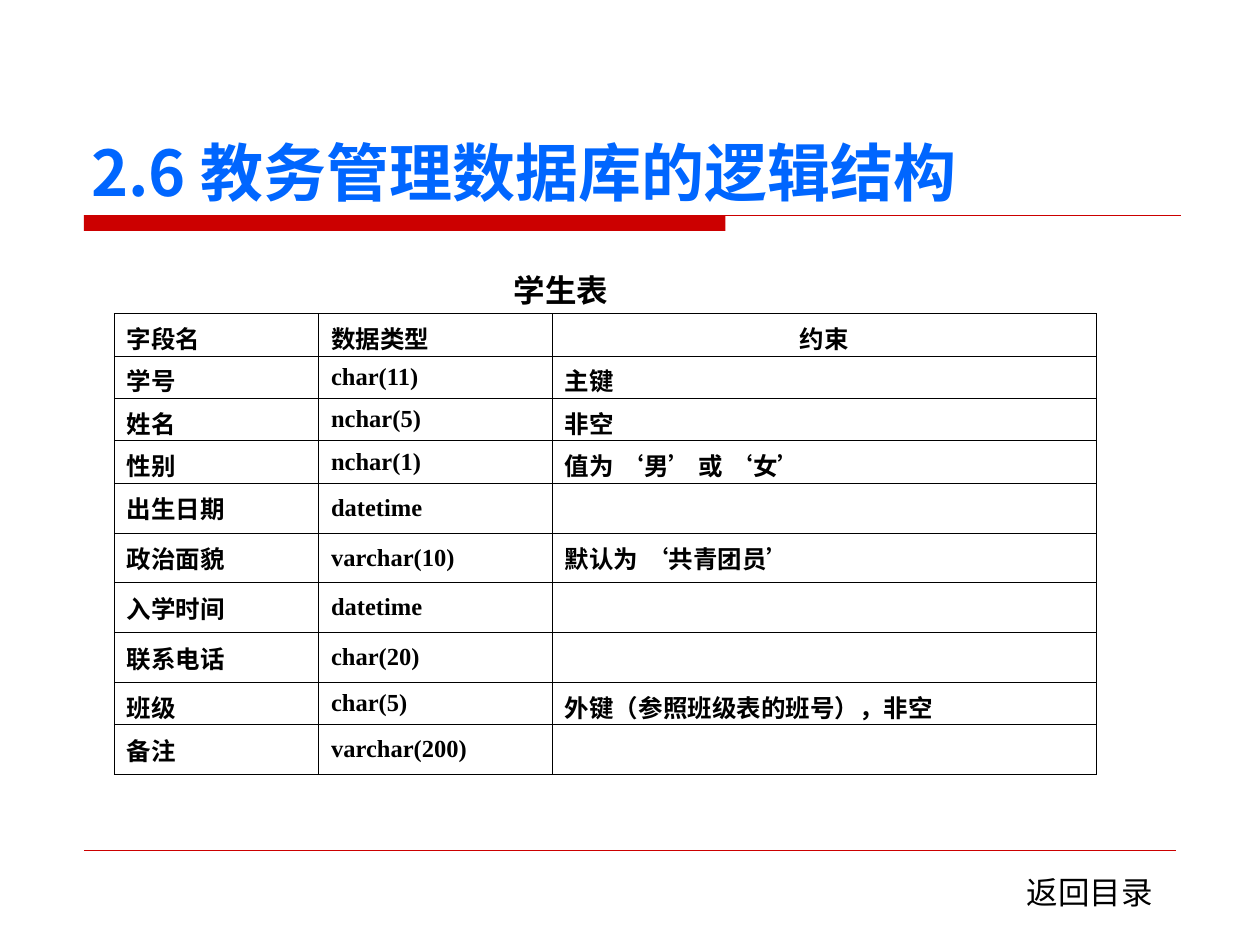
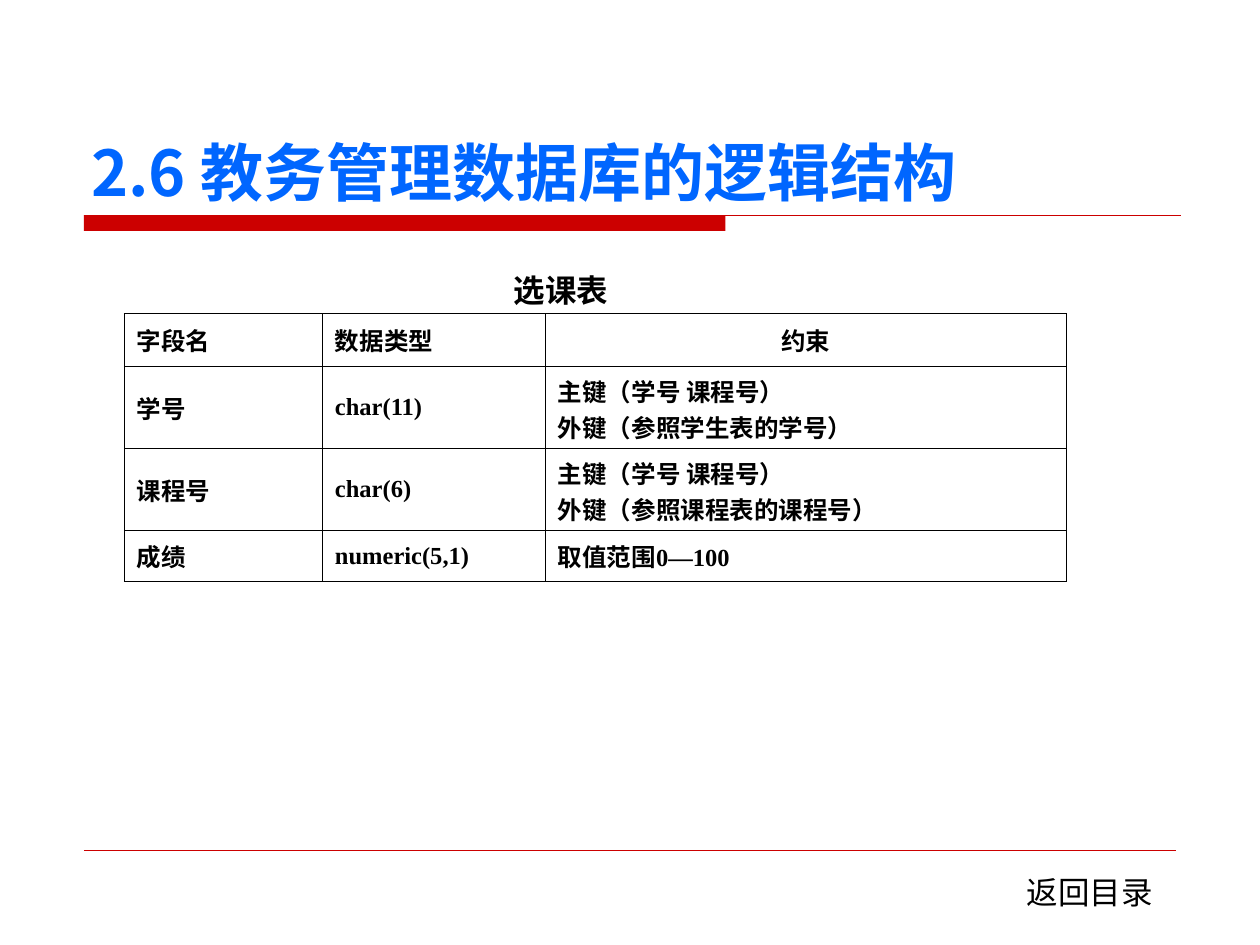
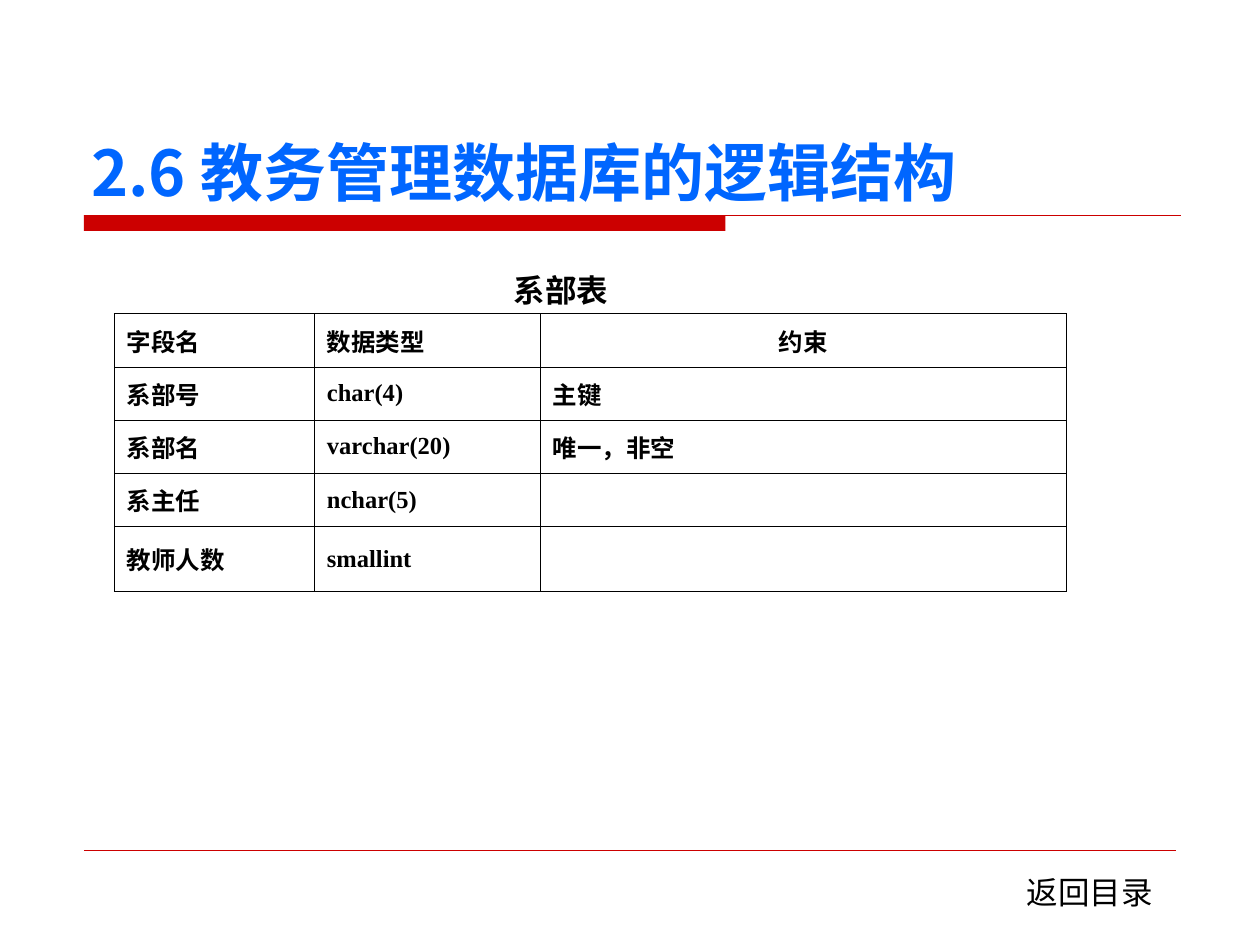
from lxml.etree import SubElement
from pptx import Presentation
from pptx.dml.color import RGBColor
from pptx.enum.shapes import MSO_CONNECTOR, MSO_SHAPE
from pptx.enum.text import MSO_ANCHOR as ANCHOR, PP_ALIGN as ALIGN
from pptx.oxml.ns import qn
from pptx.util import Pt

RED, BLUE, BLACK = "CC0000", "0066FF", "000000"
SANS, SERIF, CJK = "DejaVu Sans", "Times New Roman", "Noto Sans CJK SC"
TITLE = "2.6 教务管理数据库的逻辑结构"
HEADER = ("字段名", "数据类型", "约束")
TABLE_TOP = 179.3
INSET = 3.6
CJK_LINE = 20.3  # height of one 14 pt line of Chinese


def rgb(value):
    return RGBColor.from_string(value)


class Deck:
    def __init__(self):
        self.prs = Presentation()
        self.prs.slide_width, self.prs.slide_height = Pt(720), Pt(540)
        self.slide = None

    def style(self, p, size, font, color=BLACK, bold=False):
        f = p.font
        f.size, f.bold, f.name = Pt(size), bold, font
        f.color.rgb = rgb(color)
        props = p._p.find(qn("a:pPr")).find(qn("a:defRPr"))
        SubElement(props, qn("a:ea"), typeface=CJK)

    def text(self, text, x, y, w, h, size, font, color=BLACK, bold=False,
             anchor=ANCHOR.MIDDLE, bottom=INSET):
        tf = self.slide.shapes.add_textbox(Pt(x), Pt(y), Pt(w), Pt(h)).text_frame
        tf.word_wrap = True
        tf.vertical_anchor = anchor
        tf.margin_bottom = Pt(bottom)
        p = tf.paragraphs[0]
        p.text = text
        self.style(p, size, font, color, bold)

    def bar(self, x, y, w, h, color):
        sp = self.slide.shapes.add_shape(MSO_SHAPE.RECTANGLE, Pt(x), Pt(y), Pt(w), Pt(h))
        sp.shadow.inherit = False
        sp.fill.solid()
        sp.fill.fore_color.rgb = rgb(color)
        sp.line.fill.background()

    def rule(self, x1, x2, y, color, width):
        c = self.slide.shapes.add_connector(
            MSO_CONNECTOR.STRAIGHT, Pt(x1), Pt(y), Pt(x2), Pt(y))
        c.line.color.rgb = rgb(color)
        c.line.width = Pt(width)
        SubElement(c._element.spPr, qn("a:effectLst"))

    def borders(self, cell, color=BLACK, width=0.45):
        props = cell._tc.get_or_add_tcPr()
        for side in ("lnL", "lnR", "lnT", "lnB"):
            ln = SubElement(props, qn("a:" + side), w=str(int(Pt(width))))
            fill = SubElement(ln, qn("a:solidFill"))
            SubElement(fill, qn("a:srgbClr"), val=color)

    def cell(self, cell, text, height, centred):
        self.borders(cell)
        cell.fill.background()
        cell.vertical_anchor = ANCHOR.MIDDLE
        if not text:
            cell.margin_top = cell.margin_bottom = 0
            return
        cell.text = text
        paragraphs = cell.text_frame.paragraphs
        cell.margin_top = cell.margin_bottom = Pt(INSET)
        if not text.isascii():
            # Tight rows give up part of the bottom inset
            spare = height - INSET - CJK_LINE * len(paragraphs)
            cell.margin_bottom = Pt(min(INSET, max(0, spare)))
        for p in paragraphs:
            if centred:
                p.alignment = ALIGN.CENTER
            self.style(p, 14, SERIF, bold=True)

    def table(self, x, cols, heights, rows):
        rows = [HEADER, *rows]
        frame = self.slide.shapes.add_table(
            len(rows), len(cols), Pt(x), Pt(TABLE_TOP), Pt(sum(cols)), Pt(sum(heights)))
        table = frame.table
        table.first_row = table.horz_banding = False
        for col, width in zip(table.columns, cols):
            col.width = Pt(width)
        for i, (row, height) in enumerate(zip(rows, heights)):
            table.rows[i].height = Pt(height)
            for j, text in enumerate(row):
                self.cell(table.cell(i, j), text, height, i == 0 and j == 2)

    def new_slide(self, caption):
        self.slide = self.prs.slides.add_slide(self.prs.slide_layouts[6])
        # Title band and footer rule
        self.bar(48, 123, 366.5, 9, RED)
        self.rule(48, 675, 123, RED, 0.75)
        self.rule(48, 672, 486, RED, 0.25)
        # Title, footer and table caption
        self.text(TITLE, 45, 24, 630, 95.5, 36, CJK, BLUE, True, ANCHOR.BOTTOM, 0)
        self.text("返回目录", 579.5, 495.4, 90, 28.8, 18, SANS)
        self.text(caption, 286.5, 151.2, 73.5, 28.8, 18, SANS, bold=True)


def main():
    deck = Deck()

    # Students
    tight, loose = 24.2, 28.5
    deck.new_slide("学生表")
    deck.table(65.3, (116.7, 133.6, 311),
               [tight] * 4 + [loose] * 4 + [tight, loose], [
        ("学号", "char(11)", "主键"),
        ("姓名", "nchar(5)", "非空"),
        ("性别", "nchar(1)", "值为 ‘男’ 或 ‘女’"),
        ("出生日期", "datetime", ""),
        ("政治面貌", "varchar(10)", "默认为 ‘共青团员’"),
        ("入学时间", "datetime", ""),
        ("联系电话", "char(20)", ""),
        ("班级", "char(5)", "外键（参照班级表的班号），非空"),
        ("备注", "varchar(200)", ""),
    ])

    # Course selection
    deck.new_slide("选课表")
    deck.table(71, (113.2, 127.4, 297.7), (30.2, 46.9, 46.9, 29.2), [
        ("学号", "char(11)", "主键（学号 课程号）\n外键（参照学生表的学号）"),
        ("课程号", "char(6)", "主键（学号 课程号）\n外键（参照课程表的课程号）"),
        ("成绩", "numeric(5,1)", "取值范围0—100"),
    ])

    # Departments
    deck.new_slide("系部表")
    deck.table(65.3, (114.3, 129.1, 300.8), [30.4] * 4 + [37], [
        ("系部号", "char(4)", "主键"),
        ("系部名", "varchar(20)", "唯一，非空"),
        ("系主任", "nchar(5)", ""),
        ("教师人数", "smallint", ""),
    ])

    deck.prs.save("out.pptx")


if __name__ == "__main__":
    main()
